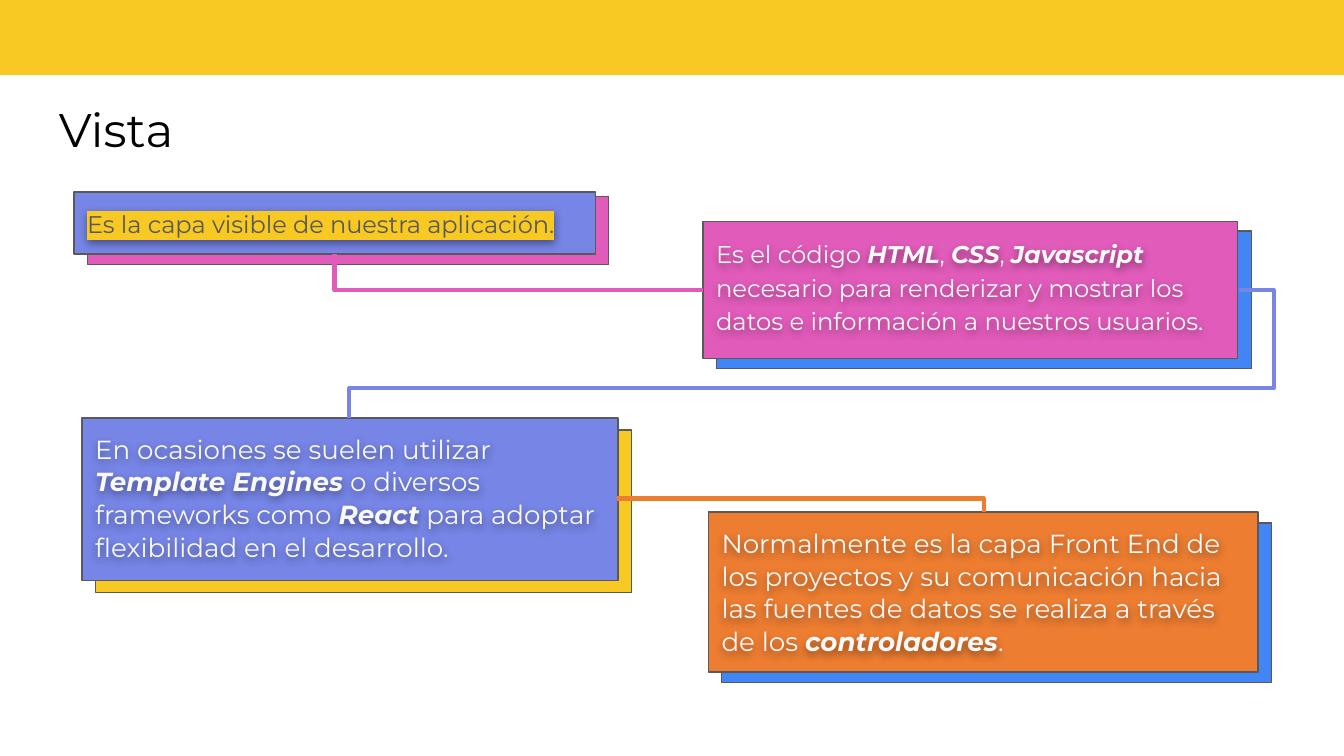
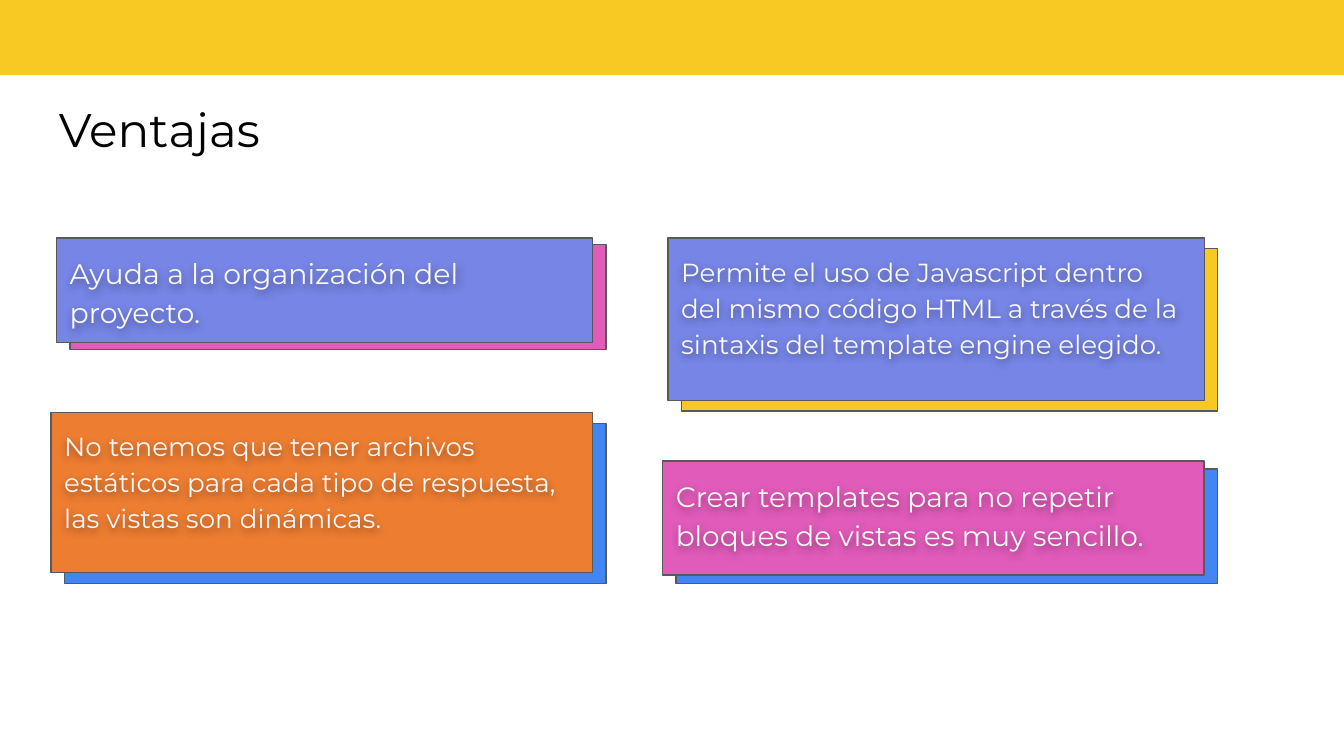
"""Builds the two slides about the view layer: what it is and its advantages."""
from dataclasses import dataclass

from lxml import etree
from pptx import Presentation, util as u
from pptx.dml.color import RGBColor
from pptx.enum import shapes, text
from pptx.oxml import ns

FONT = "Montserrat"
YELLOW, PINK, VIOLET = "F8C823", "E15BBA", "7685E6"
BLUE, ORANGE = "4285F4", "ED7D31"
GREY, LIGHT, BLACK = "595959", "F9F9F9", "000000"
SLIDE_WIDTH, BAND_HEIGHT = 10, 0.56
SLIDE_HEIGHT = SLIDE_WIDTH * 9 / 16
INSET, BACK_SHIFT = 0.1, 0.1


@dataclass(frozen=True)
class Card:
    """A text card over a shifted back plate; *stars* mark emphasised words."""

    words: str
    left: float
    top: float
    width: float
    height: float
    fill: str
    back_fill: str
    drop: float = 0.08
    extra_back: float = 0
    size: float = 14
    spacing: float = 1.15
    color: str = LIGHT
    highlight: str | None = None


@dataclass(frozen=True)
class Elbow:
    """A bent connector between two points."""

    start: tuple[float, float]
    end: tuple[float, float]
    color: str
    preset: str = "bentConnector2"
    vertical_first: bool = False
    adjustments: tuple[int, ...] = ()


VIEW_CARDS = [
    Card("Es la capa visible de nuestra aplicación.", 0.55, 1.43, 3.88, 0.46,
         VIOLET, PINK, drop=0.03, extra_back=0.05, size=12.9, color=GREY, highlight=YELLOW),
    Card("Es el código *HTML*, *CSS*, *Javascript *necesario para renderizar y mostrar "
         "los datos e información a nuestros usuarios.", 5.23, 1.65, 3.98, 1.02,
         PINK, BLUE, drop=0.07, size=13),
    Card("En ocasiones se suelen utilizar *Template Engines* o diversos frameworks como "
         "*React* para adoptar flexibilidad en el desarrollo.", 0.61, 3.11, 3.99, 1.21,
         VIOLET, YELLOW, drop=0.09, spacing=1.05),
    Card("Normalmente es la capa Front End de los proyectos y su comunicación hacia las "
         "fuentes de datos se realiza a través de los *controladores*.", 5.27, 3.81, 4.09, 1.19,
         ORANGE, BLUE, spacing=1.05),
]
VIEW_ELBOWS = [
    Elbow((2.49, 1.89), (5.23, 2.16), PINK, vertical_first=True),
    Elbow((9.22, 2.16), (2.6, 3.11), VIOLET, "bentConnector4", adjustments=(-3900, 76700)),
    Elbow((4.59, 3.71), (7.32, 3.81), ORANGE),
]
ADVANTAGE_CARDS = [
    Card("Ayuda a la organización del proyecto.", 0.42, 1.77, 3.99, 0.78,
         VIOLET, PINK, drop=0.05, size=15.2),
    Card("Crear templates para no repetir bloques de vistas es muy sencillo.",
         4.93, 3.43, 4.03, 0.85, PINK, BLUE, drop=0.06, size=15),
    Card("Permite el uso de Javascript dentro del mismo código HTML a través de la "
         "sintaxis del template engine elegido.", 4.97, 1.77, 3.99, 1.21, VIOLET, YELLOW),
    Card("No tenemos que tener archivos estáticos para cada tipo de respuesta, las vistas "
         "son dinámicas.", 0.38, 3.07, 4.03, 1.19, ORANGE, BLUE),
]


def rgb(value: str) -> RGBColor:
    """Turn a hex string into a colour."""
    return RGBColor.from_string(value)


def add_element(parent, tag: str, **attributes: str):
    """Append a drawing element to its parent."""
    return etree.SubElement(parent, ns.qn(f"a:{tag}"), attributes)


def add_rectangle(slide, left: float, top: float, width: float, height: float,
                  fill: str, line: str | None = None) -> None:
    """Draw a flat rectangle, outlined if a line colour is given."""
    shape = slide.shapes.add_shape(shapes.MSO_SHAPE.RECTANGLE, u.Inches(left), u.Inches(top),
                                   u.Inches(width), u.Inches(height))
    shape.shadow.inherit = False
    shape.fill.solid()
    shape.fill.fore_color.rgb = rgb(fill)
    if line:
        shape.line.color.rgb = rgb(line)
        shape.line.width = u.Pt(0.75)
    else:
        shape.line.fill.background()


def add_text(slide, words: str, left: float, top: float, width: float, height: float,
             size: float, color: str):
    """Write one paragraph in a text box, with starred words in bold italics."""
    box = slide.shapes.add_textbox(u.Inches(left), u.Inches(top),
                                   u.Inches(width), u.Inches(height))
    frame = box.text_frame
    frame.word_wrap = True
    frame.auto_size = text.MSO_AUTO_SIZE.NONE
    frame.margin_left = frame.margin_right = u.Inches(INSET)
    frame.margin_top = frame.margin_bottom = u.Inches(INSET)
    for index, part in enumerate(words.split("*")):
        run = frame.paragraphs[0].add_run()
        run.text = part
        run.font.size = u.Pt(size)
        run.font.bold = run.font.italic = index % 2 == 1
        run.font.color.rgb = rgb(color)
        run.font.name = FONT
    return box


def add_card(slide, card: Card) -> None:
    """Draw the back plate, the card and its softly shadowed text."""
    add_rectangle(slide, card.left + BACK_SHIFT, card.top + card.drop, card.width,
                  card.height + card.extra_back, card.back_fill, GREY)
    add_rectangle(slide, card.left, card.top, card.width, card.height, card.fill, GREY)
    box = add_text(slide, card.words, card.left, card.top, card.width, card.height,
                   card.size, card.color)
    paragraph = box.text_frame.paragraphs[0]
    paragraph.line_spacing = card.spacing
    paragraph.space_after = u.Pt(12)
    if card.highlight:
        for run in paragraph.runs:
            properties = run.font._element
            highlight = add_element(properties, "highlight")
            add_element(highlight, "srgbClr", val=card.highlight)
            properties.find(ns.qn("a:latin")).addprevious(highlight)
    effects = add_element(box._element.spPr, "effectLst")
    shadow = add_element(effects, "outerShdw", blurRad="57150", dist="19050",
                         dir="5400000", algn="bl", rotWithShape="0")
    tint = add_element(shadow, "srgbClr", val=BLACK)
    add_element(tint, "alpha", val="40000")


def add_elbow(slide, elbow: Elbow) -> None:
    """Draw a bent connector, turned a quarter if it leaves vertically."""
    (x1, y1), (x2, y2) = elbow.start, elbow.end
    if elbow.vertical_first:
        middle_x, middle_y = (x1 + x2) / 2, (y1 + y2) / 2
        half_x, half_y = (x2 - x1) / 2, (y2 - y1) / 2
        x1, y1 = middle_x + half_y, middle_y - half_x
        x2, y2 = middle_x - half_y, middle_y + half_x
    connector = slide.shapes.add_connector(shapes.MSO_CONNECTOR.ELBOW, u.Inches(x1),
                                           u.Inches(y1), u.Inches(x2), u.Inches(y2))
    connector.line.color.rgb = rgb(elbow.color)
    connector.line.width = u.Pt(2.25)
    properties = connector._element.spPr
    add_element(properties, "effectLst")
    if elbow.vertical_first:
        properties.find(ns.qn("a:xfrm")).set("rot", str(270 * 60000))
    geometry = properties.find(ns.qn("a:prstGeom"))
    geometry.set("prst", elbow.preset)
    guides = geometry.find(ns.qn("a:avLst"))
    for number, value in enumerate(elbow.adjustments, 1):
        add_element(guides, "gd", name=f"adj{number}", fmla=f"val {value}")


def add_slide(presentation, title: str, cards: list[Card], elbows: list[Elbow]) -> None:
    """Add a slide with the band, the title, the cards and their connectors."""
    slide = presentation.slides.add_slide(presentation.slide_layouts[6])
    add_rectangle(slide, 0, 0, SLIDE_WIDTH, BAND_HEIGHT, YELLOW)
    add_text(slide, title, 0.34, 0.65, 9.32, 0.63, 25.2, BLACK)
    for card in cards:
        add_card(slide, card)
    for elbow in elbows:
        add_elbow(slide, elbow)


def main() -> None:
    """Build and save the presentation."""
    presentation = Presentation()
    presentation.slide_width = u.Inches(SLIDE_WIDTH)
    presentation.slide_height = u.Inches(SLIDE_HEIGHT)
    add_slide(presentation, "Vista", VIEW_CARDS, VIEW_ELBOWS)
    add_slide(presentation, "Ventajas", ADVANTAGE_CARDS, [])
    presentation.save("out.pptx")


if __name__ == "__main__":
    main()
